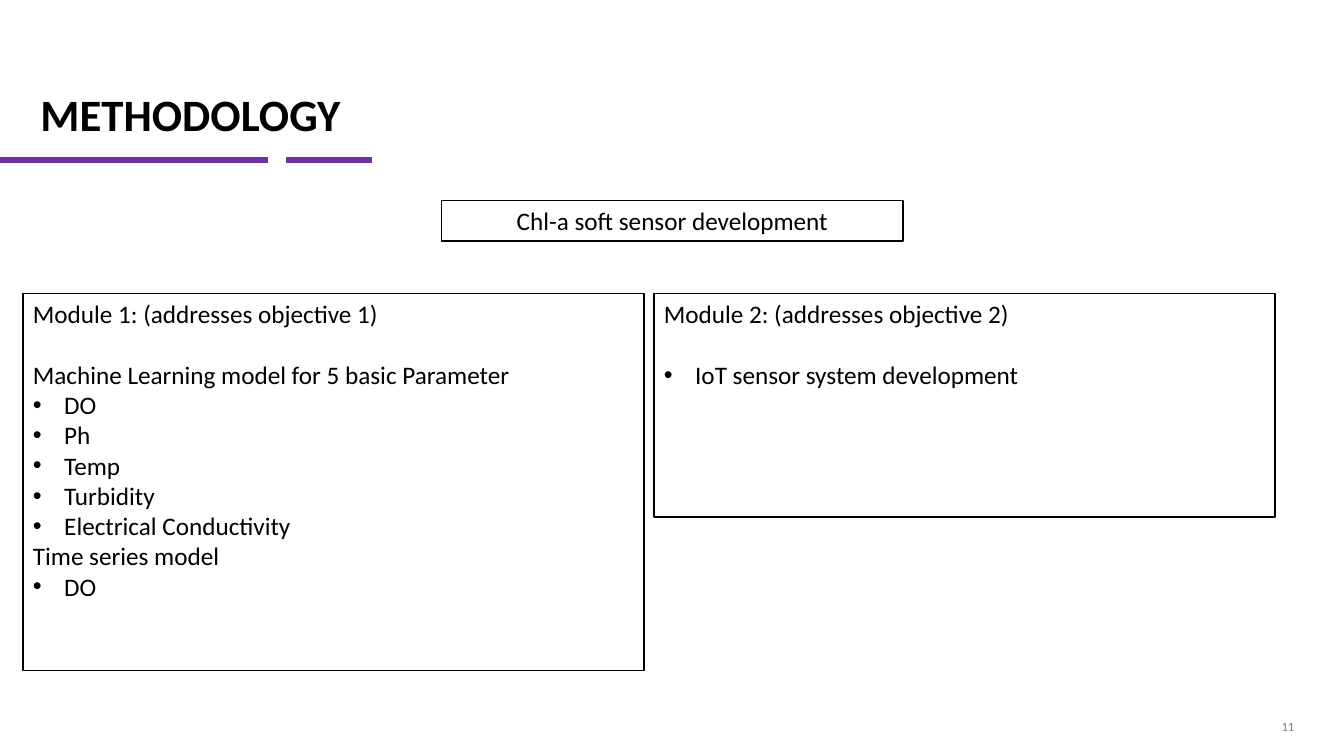
from dataclasses import dataclass

from lxml.etree import SubElement
from pptx import Presentation
from pptx.dml.color import RGBColor as RGB
from pptx.enum.shapes import MSO_CONNECTOR as Link, MSO_SHAPE as Kind
from pptx.enum.text import MSO_ANCHOR as Anchor, PP_ALIGN as Align
from pptx.oxml.ns import qn
from pptx.util import Cm, Pt


@dataclass
class Theme:
    font: str = "Calibri"
    ink: RGB = RGB(0, 0, 0)
    paper: RGB = RGB(255, 255, 255)
    accent: RGB = RGB(0x70, 0x30, 0xA0)
    faint: RGB = RGB(0x7F, 0x7F, 0x7F)
    title: Pt = Pt(32)
    body: Pt = Pt(18)
    small: Pt = Pt(9)


theme = Theme()
BULLET = "• "


def write(shape, lines, size=theme.body, color=theme.ink,
          align=Align.LEFT, anchor=Anchor.TOP):
    """Fill a shape with lines; those led by BULLET become list items."""
    frame = shape.text_frame
    frame.word_wrap = True
    frame.vertical_anchor = anchor
    for i, line in enumerate(lines):
        par = frame.add_paragraph() if i else frame.paragraphs[0]
        par.text = line.removeprefix(BULLET)
        par.alignment = align
        if line.startswith(BULLET):
            props = par._p.get_or_add_pPr()
            props.set("marL", str(Cm(0.79)))
            props.set("indent", str(-Cm(0.79)))
            SubElement(props, qn("a:buFont"), typeface="Arial")
            SubElement(props, qn("a:buChar"), char=BULLET.strip())
        par.font.name = theme.font
        par.font.size = size
        par.font.color.rgb = color
    return frame


def add_box(left, top, width, height, lines, align=Align.LEFT):
    box = slide.shapes.add_shape(
        Kind.RECTANGLE, Cm(left), Cm(top), Cm(width), Cm(height))
    box.shadow.inherit = False
    box.fill.solid()
    box.fill.fore_color.rgb = theme.paper
    box.line.color.rgb = theme.ink
    box.line.width = Pt(1)
    return write(box, lines, align=align)


deck = Presentation()
deck.slide_width, deck.slide_height = Cm(33.87), Cm(19.05)
slide = deck.slides.add_slide(deck.slide_layouts[6])

# Title and the broken rule below it
for start, end in ((0, 6.75), (7.2, 9.37)):
    rule = slide.shapes.add_connector(
        Link.STRAIGHT, Cm(start), Cm(4.04), Cm(end), Cm(4.04))
    rule.line.color.rgb = theme.accent
    rule.line.width = Pt(4.5)
    SubElement(rule._element.spPr, qn("a:effectLst"))

title = slide.shapes.add_textbox(Cm(1.02), Cm(0.69), Cm(8.92), Cm(2.87))
frame = write(title, ["METHODOLOGY"], theme.title, anchor=Anchor.BOTTOM)
frame.margin_left = frame.margin_right = 0
frame.margin_top = frame.margin_bottom = 0
frame.paragraphs[0].font.bold = True
frame.paragraphs[0].line_spacing = 0.9

# Slide number
number = slide.shapes.add_textbox(Cm(25.25), Cm(17.96), Cm(7.62), Cm(0.69))
write(number, ["11"], theme.small, theme.faint, Align.RIGHT, Anchor.MIDDLE)

# Modules side by side
modules = (
    (9.5, ["Module 1: (addresses objective 1)",
           "Machine Learning model for 5 basic Parameter",
           "• DO", "• Ph", "• Temp", "• Turbidity",
           "• Electrical Conductivity",
           "Time series model", "• DO"]),
    (5.64, ["Module 2: (addresses objective 2)",
            "• IoT sensor system development"]),
)
for col, (height, lines) in enumerate(modules):
    frame = add_box(0.58 + col * 15.9, 7.39, 15.65, height, lines)
    frame.paragraphs[0].space_after = Pt(22)

# Overall goal
add_box(11.13, 5.05, 11.63, 1.02, ["Chl-a soft sensor development"],
        Align.CENTER)

deck.save("out.pptx")
